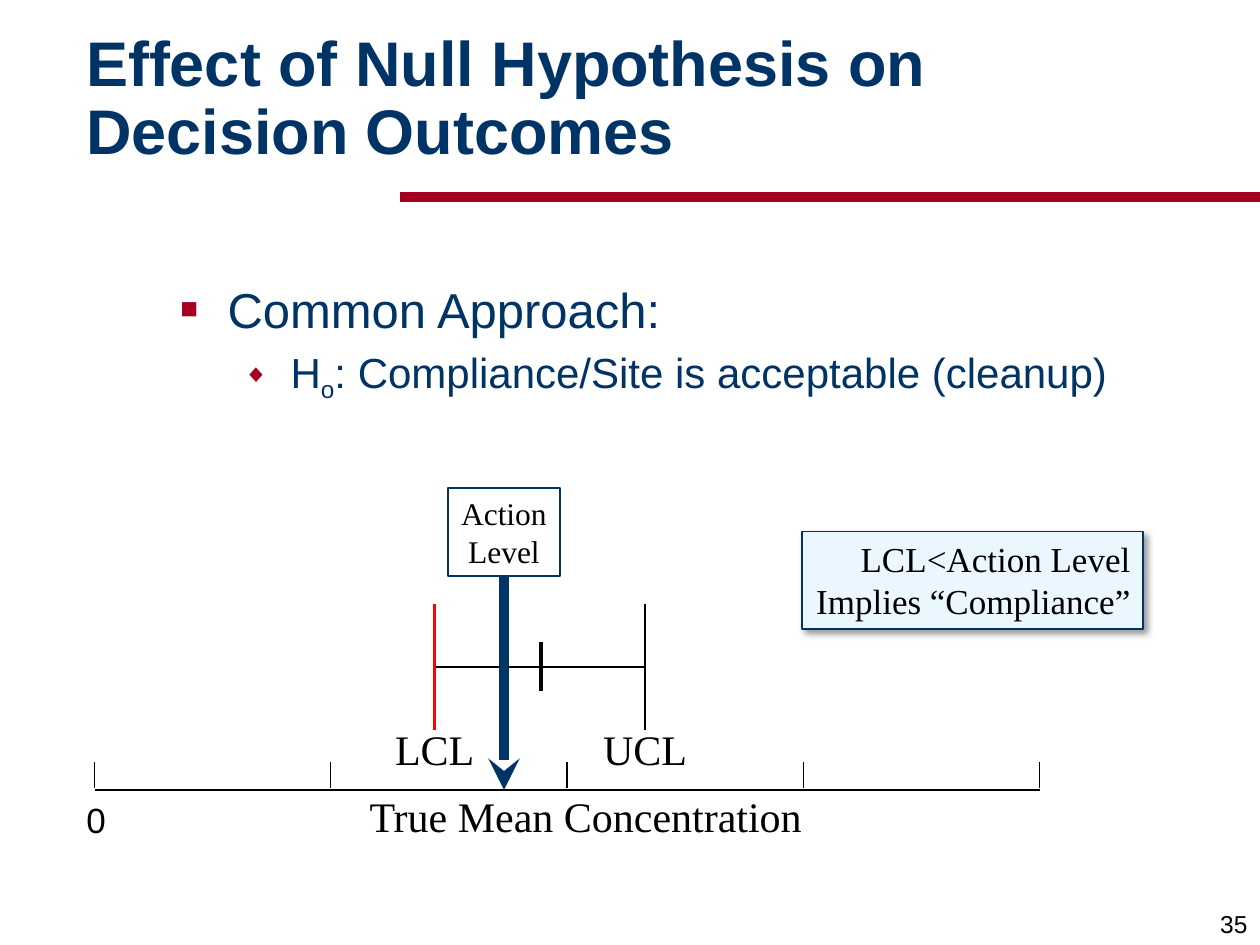
from lxml.etree import SubElement
from pptx import Presentation
from pptx.dml.color import RGBColor
from pptx.enum.shapes import MSO_CONNECTOR, MSO_SHAPE
from pptx.enum.text import MSO_ANCHOR, PP_ALIGN
from pptx.oxml.ns import qn
from pptx.util import Pt

NAVY = RGBColor(0x00, 0x33, 0x66)
CRIMSON = RGBColor(0xA5, 0x00, 0x21)
RED = RGBColor(0xFF, 0x00, 0x00)
BLACK = RGBColor(0x00, 0x00, 0x00)
PALE_BLUE = RGBColor(0xEB, 0xF7, 0xFF)

SANS = "Arial"
SERIF = "Times New Roman"

AXIS_LEFT, AXIS_RIGHT, AXIS_Y = 54, 594, 451.4
TICK_COUNT = 5
LCL_X, UCL_X, MEAN_X = 248.4, 368.6, 308.9
INTERVAL_TOP, INTERVAL_BOTTOM = 345, 417


def write(frame, lines, *, size, font=SERIF, color=BLACK, bold=False,
          align=PP_ALIGN.LEFT, anchor=MSO_ANCHOR.TOP, wrap=False, spacing=None):
    """Fill a text frame with one paragraph per line, all in one format."""
    frame.word_wrap = wrap
    frame.vertical_anchor = anchor
    for index, line in enumerate(lines):
        paragraph = frame.paragraphs[0] if index == 0 else frame.add_paragraph()
        paragraph.text = line
        paragraph.alignment = align
        paragraph.line_spacing = spacing
        style(paragraph.font, size, font, color, bold)


def style(target, size, font, color, bold=False):
    target.size, target.name, target.bold = Pt(size), font, bold
    target.color.rgb = color


def add_label(slide, text, left, top, width, height, **text_format):
    label = slide.shapes.add_textbox(Pt(left), Pt(top), Pt(width), Pt(height))
    write(label.text_frame, [text], **text_format)


def add_box(slide, lines, left, top, width, height, *, fill=None, **text_format):
    box = slide.shapes.add_shape(
        MSO_SHAPE.RECTANGLE, Pt(left), Pt(top), Pt(width), Pt(height))
    box.shadow.inherit = False
    if fill is None:
        box.fill.background()
    else:
        box.fill.solid()
        box.fill.fore_color.rgb = fill
    box.line.color.rgb = NAVY
    box.line.width = Pt(1)
    write(box.text_frame, lines, anchor=MSO_ANCHOR.TOP, **text_format)
    return box


def cast_shadow(shape, blur=4, distance=3, degrees=45, opacity=40):
    effects = shape.element.spPr.find(qn("a:effectLst"))
    shadow = SubElement(effects, qn("a:outerShdw"), blurRad=str(Pt(blur)),
                        dist=str(Pt(distance)), dir=str(degrees * 60000),
                        algn="tl", rotWithShape="0")
    tint = SubElement(shadow, qn("a:srgbClr"), val=str(BLACK))
    SubElement(tint, qn("a:alpha"), val=str(opacity * 1000))


def add_line(slide, x1, y1, x2, y2, *, color=BLACK, width=1.0, arrow=False):
    line = slide.shapes.add_connector(
        MSO_CONNECTOR.STRAIGHT, Pt(x1), Pt(y1), Pt(x2), Pt(y2))
    line.line.color.rgb = color
    line.line.width = Pt(width)
    if arrow:
        SubElement(line.line._get_or_add_ln(), qn("a:tailEnd"), type="stealth")
    SubElement(line.element.spPr, qn("a:effectLst"))
    return line


def add_bullet(paragraph, symbol, margin, runs, *, size, before=0):
    """Write a bulleted paragraph from (text, is_subscript) pairs."""
    properties = paragraph._p.get_or_add_pPr()
    properties.set("marL", str(Pt(margin)))
    properties.set("indent", str(Pt(-27)))
    bullet_color = SubElement(properties, qn("a:buClr"))
    SubElement(bullet_color, qn("a:srgbClr"), val=str(CRIMSON))
    SubElement(properties, qn("a:buSzPct"), val="60000")
    SubElement(properties, qn("a:buFont"), typeface=SANS)
    SubElement(properties, qn("a:buChar"), char=symbol)
    paragraph.space_before = Pt(before)
    style(paragraph.font, size, SANS, NAVY)
    for text, is_subscript in runs:
        run = paragraph.add_run()
        run.text = text
        style(run.font, size, SANS, NAVY)
        if is_subscript:
            run.font._element.set("baseline", "-25000")


def add_heading(slide):
    title = slide.shapes.title
    title.left, title.top, title.width, title.height = Pt(42), Pt(12), Pt(642), Pt(90)
    write(title.text_frame, ["Effect of Null Hypothesis on \vDecision Outcomes"],
          size=36, font=SANS, color=NAVY, bold=True, wrap=True,
          anchor=MSO_ANCHOR.MIDDLE, spacing=0.9)
    add_line(slide, 228.5, 112.5, 720, 112.5, color=CRIMSON, width=6)


def add_approach(slide):
    body = slide.shapes.add_textbox(Pt(96), Pt(156), Pt(612), Pt(324)).text_frame
    body.word_wrap = True
    add_bullet(body.paragraphs[0], "■", 27, [("Common Approach:", False)], size=28)
    hypothesis = [("H", False), ("o", True),
                  (": Compliance/Site is acceptable (cleanup)", False)]
    paragraph = body.add_paragraph()
    paragraph.level = 1
    add_bullet(paragraph, "◆", 63, hypothesis, size=24, before=4.8)


def add_axis(slide):
    add_line(slide, AXIS_LEFT, AXIS_Y, AXIS_RIGHT, AXIS_Y)
    step = (AXIS_RIGHT - AXIS_LEFT) / (TICK_COUNT - 1)
    for index in range(TICK_COUNT):
        x = AXIS_LEFT + index * step
        add_line(slide, x, 435.6, x, 450, width=0.75)
    add_label(slide, "0", 42.3, 452.5, 25, 31.5, size=20, font=SANS,
              align=PP_ALIGN.CENTER)
    add_label(slide, "True Mean Concentration", 203, 448, 263.5, 36, size=24,
              align=PP_ALIGN.CENTER)


def add_interval(slide):
    middle = (INTERVAL_TOP + INTERVAL_BOTTOM) / 2
    add_line(slide, LCL_X, middle, UCL_X, middle)
    add_line(slide, MEAN_X, middle - 14, MEAN_X, middle + 14, width=2.25)
    limits = [("LCL", LCL_X, RED, 2), ("UCL", UCL_X, BLACK, 1)]
    for name, x, color, width in limits:
        add_line(slide, x, INTERVAL_TOP, x, INTERVAL_BOTTOM, color=color, width=width)
        add_label(slide, name, x - 36.5, 410, 73, 36, size=24,
                  align=PP_ALIGN.CENTER, wrap=True)


def add_action_level(slide):
    action_level = add_box(slide, ["Action", "Level"], 256, 278.9, 64, 50.4,
                           size=18, align=PP_ALIGN.CENTER)
    arrow = add_line(slide, 288, 329.3, 288, AXIS_Y, color=NAVY, width=6, arrow=True)
    arrow.begin_connect(action_level, 2)


def main():
    presentation = Presentation()
    presentation.slide_width, presentation.slide_height = Pt(720), Pt(540)
    slide = presentation.slides.add_slide(presentation.slide_layouts[5])
    add_heading(slide)
    add_approach(slide)
    add_axis(slide)
    add_interval(slide)
    add_action_level(slide)
    conclusion = add_box(slide, ["LCL<Action Level", "Implies “Compliance”"],
                         458.2, 303.8, 195, 55.5, fill=PALE_BLUE, size=20,
                         align=PP_ALIGN.RIGHT)
    cast_shadow(conclusion)
    add_label(slide, "35", 570, 504, 150, 36, size=14, font=SANS,
              align=PP_ALIGN.RIGHT, anchor=MSO_ANCHOR.BOTTOM)
    presentation.save("out.pptx")


if __name__ == "__main__":
    main()
